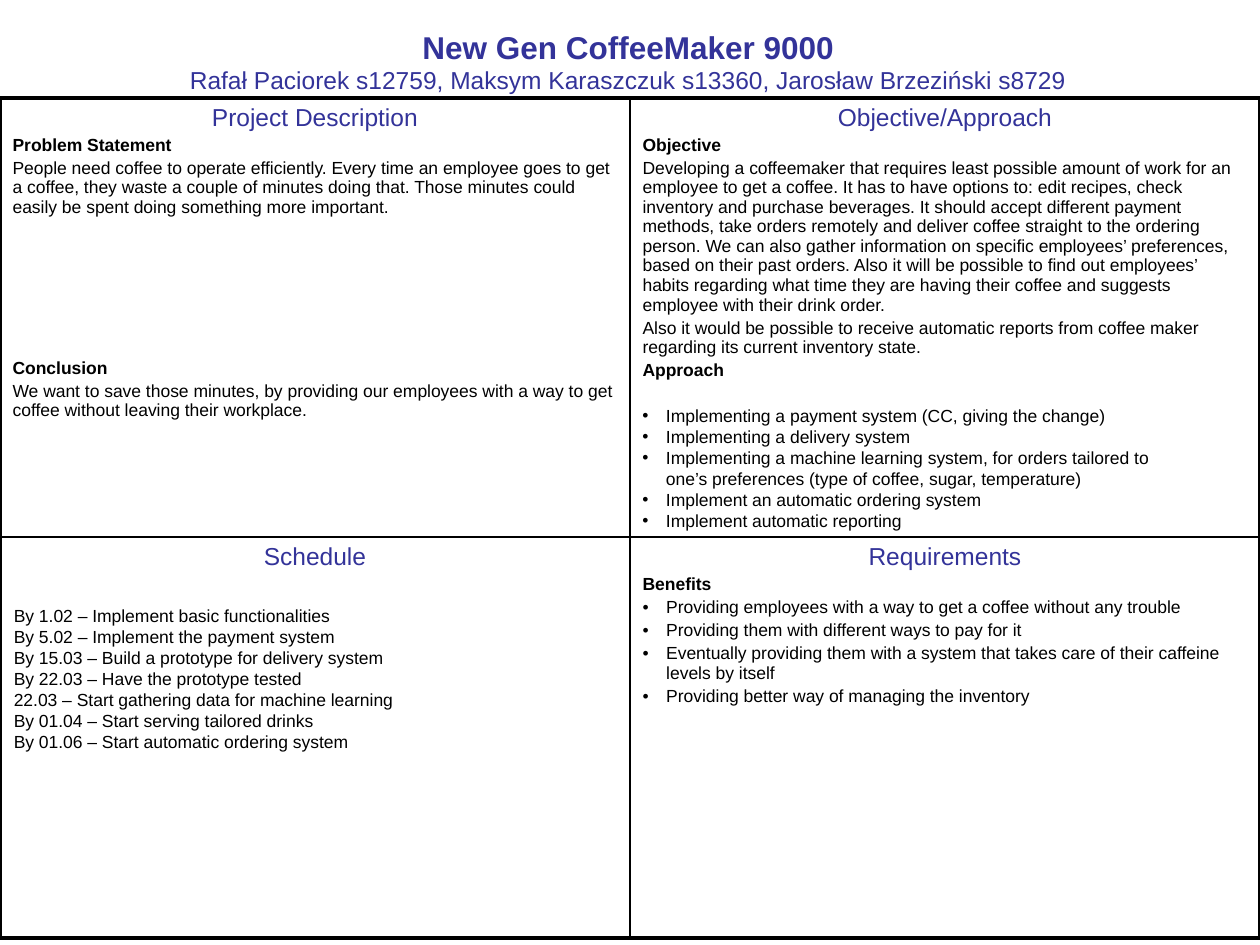
"""Build a four-quadrant project summary slide."""
from lxml import etree
from pptx import Presentation
from pptx import util as u
from pptx.dml import color
from pptx.enum import text as t
from pptx.oxml import ns

Pt = u.Pt
HUES = {"head": "333399", "body": "000000", "line": "000000"}
FONT = "Arial"

QUADS = [
    [
        [("head", "Project Description"),
         ("bold", "Problem Statement"),
         ("body", "People need coffee to operate efficiently. Every time an employee goes to get "
                  "a coffee, they waste a couple of minutes doing that. Those minutes could "
                  "easily be spent doing something more important."),
         ("late", "Conclusion"),
         ("body", "We want to save those minutes, by providing our employees with a way to get "
                  "coffee without leaving their workplace.")],
        [("head", "Objective/Approach"),
         ("bold", "Objective"),
         ("body", "Developing a coffeemaker that requires least possible amount of work for an "
                  "employee to get a coffee. It has to have options to: edit recipes, check "
                  "inventory and purchase beverages. It should accept different payment "
                  "methods, take orders remotely and deliver coffee straight to the ordering "
                  "person. We can also gather information on specific employees’ preferences, "
                  "based on their past orders. Also it will be possible to find out employees’ "
                  "habits regarding what time they are having their coffee and suggests "
                  "employee with their drink order."),
         ("body", "Also it would be possible to receive automatic reports from coffee maker "
                  "regarding its current inventory state."),
         ("bold", "Approach")],
    ],
    [
        [("head", "Schedule")],
        [("head", "Requirements"),
         ("bold", "Benefits"),
         ("item", "Providing employees with a way to get a coffee without any trouble"),
         ("item", "Providing them with different ways to pay for it"),
         ("item", "Eventually providing them with a system that takes care of their caffeine "
                  "levels by itself"),
         ("item", "Providing better way of managing the inventory")],
    ],
]

DATES = [
    "By 1.02 – Implement basic functionalities",
    "By 5.02 – Implement the payment system",
    "By 15.03 – Build a prototype for delivery system",
    "By 22.03 – Have the prototype tested",
    "22.03 – Start gathering data for machine learning",
    "By 01.04 – Start serving tailored drinks",
    "By 01.06 – Start automatic ordering system",
]

STEPS = [
    "Implementing a payment system (CC, giving the change)",
    "Implementing a delivery system",
    "Implementing a machine learning system, for orders tailored to one’s preferences "
    "(type of coffee, sugar, temperature)",
    "Implement an automatic ordering system",
    "Implement automatic reporting",
]


def style(para, size, hue, bold=False):
    for run in para.runs:
        font = run.font
        font.name, font.size, font.bold = FONT, Pt(size), bold
        font.color.rgb = color.RGBColor.from_string(HUES[hue])


def bullet(para):
    props = para._p.get_or_add_pPr()
    props.set("marL", str(Pt(13.5)))
    props.set("indent", str(-Pt(13.5)))
    etree.SubElement(props, ns.qn("a:buFont")).set("typeface", FONT)
    etree.SubElement(props, ns.qn("a:buChar")).set("char", "•")


def edge(cell, side, width):
    line = etree.SubElement(cell._tc.get_or_add_tcPr(), ns.qn("a:ln" + side), w=str(Pt(width)))
    fill = etree.SubElement(line, ns.qn("a:solidFill"))
    etree.SubElement(fill, ns.qn("a:srgbClr"), val=HUES["line"])


def write(cell, rows):
    frame = cell.text_frame
    frame.text = "\n".join(words for _, words in rows)
    for para, (kind, _) in zip(frame.paragraphs, rows):
        if kind == "head":
            para.alignment = t.PP_ALIGN.CENTER
            style(para, 14, "head")
            continue
        para.space_before = Pt(80.8 if kind == "late" else 2)
        style(para, 10, "body", kind in ("bold", "late"))
        if kind == "item":
            bullet(para)


def title(slide, left, top, width, height):
    shape = slide.shapes.title
    shape.left, shape.top, shape.width, shape.height = map(Pt, (left, top, width, height))
    frame = shape.text_frame
    frame.text = ("New Gen CoffeeMaker 9000\n"
                  "Rafał Paciorek s12759, Maksym Karaszczuk s13360, Jarosław Brzeziński s8729")
    frame.auto_size = t.MSO_AUTO_SIZE.NONE
    frame.vertical_anchor = t.MSO_ANCHOR.TOP
    for para, size, bold in zip(frame.paragraphs, (18, 14), (True, False)):
        para.alignment = t.PP_ALIGN.CENTER
        style(para, size, "head", bold)


def grid(slide, left, top, width, height):
    table = slide.shapes.add_table(2, 2, *map(Pt, (left, top, width, height))).table
    table.first_row = table.horz_banding = False
    upper = 251
    for row, size in zip(table.rows, (upper, height - upper)):
        row.height = Pt(size)
    for r, quads in enumerate(QUADS):
        for c, rows in enumerate(quads):
            cell = table.cell(r, c)
            write(cell, rows)
            outer = {"L": c == 0, "R": c == 1, "T": r == 0, "B": r == 1}
            for side, thick in outer.items():
                edge(cell, side, 2.25 if thick else 1)
            cell.fill.background()


def notes(slide, left, top, width, rows, dots=False):
    box = slide.shapes.add_textbox(*map(Pt, (left, top, width, 12 * len(rows) + 8)))
    frame = box.text_frame
    frame.word_wrap = True
    frame.text = "\n".join(rows)
    for para in frame.paragraphs:
        para.line_spacing = Pt(12)
        style(para, 10, "body")
        if dots:
            bullet(para)


def main():
    deck = Presentation()
    deck.slide_width, deck.slide_height = Pt(720), Pt(540)
    slide = deck.slides.add_slide(deck.slide_layouts[5])
    title(slide, 59, 12.2, 600, 45)
    grid(slide, 0, 56, 720, 480)
    notes(slide, 0.8, 342, 359, DATES)
    notes(slide, 360, 228, 318, STEPS, True)
    deck.save("out.pptx")


main()
